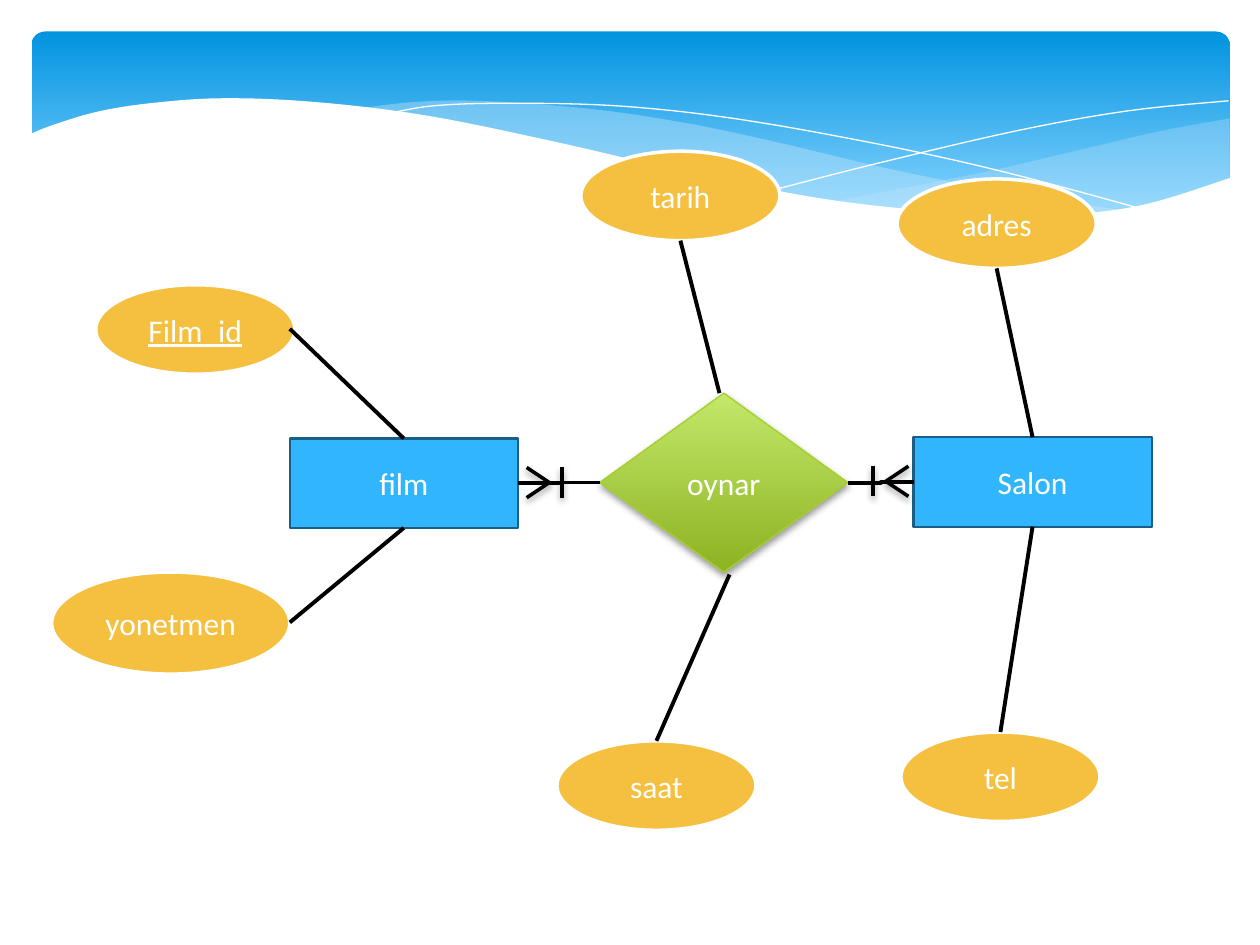
"""Build a cinema entity-relationship diagram slide on a 100 by 75 grid."""
import lxml.etree
import pptx
import pptx.dml.color
import pptx.enum.dml
import pptx.enum.shapes
import pptx.enum.text
import pptx.oxml.ns
import pptx.util

SHAPE = pptx.enum.shapes.MSO_SHAPE
LINK = pptx.enum.shapes.MSO_CONNECTOR
WIDTH, HEIGHT = pptx.util.Inches(10), pptx.util.Inches(7.5)
COLUMNS, ROWS = 100, 75

THEME = {
    "sky": [(0, "0293E0"), (0.9, "83D3FE")],
    "leaf": [(0, "C3E86A"), (1, "8DB222")],
    "mist": "C6E7FC", "white": "FFFFFF", "black": "000000",
    "entity": "31B6FD", "entity_line": "195F84",
    "attribute": "F5C040", "relation_line": "A5D028",
    "font": {"name": "Calibri", "size": pptx.util.Pt(18)},
    "link_width": 2.25, "mark_width": 2,
}

BANNER = (2.5, 2.5, 95.1, 15.6)
MISTS = [
    (29, [[(97.6, 9.4), (92.1, 10.4), (86.1, 11.8), (77.9, 13.7), (66.1, 16)],
          [(66.1, 16), (73.2, 16.8), (80.3, 17.2), (87.2, 16.9), (92.8, 15.8), (97.6, 14.1)]]),
    (40, [[(89.3, 16.7), (80.7, 15.4), (70.6, 13.4), (61.3, 11.2), (54.1, 9.7),
           (46.5, 8.6), (38, 8), (32.8, 8.1), (28.6, 8.6)],
          [(28.6, 8.6), (34.2, 9.4), (44.9, 11.6), (56.6, 14.3), (66.5, 16.1),
           (76.1, 17.1), (83.8, 17.2), (89.3, 16.7)]]),
]
STRANDS = [
    [(30.9, 9), (34.4, 8.4), (40.1, 8.2), (48.9, 8.4), (58.2, 9.4), (69.5, 11.4),
     (79.5, 13.6), (90.7, 16.6)],
    [(61.3, 15.1), (69.5, 13), (80.6, 10.4), (89.5, 8.8), (97.5, 8)],
]
WAVE = [[(2.3, 10.7), (4, 10), (7.6, 8.9), (11.9, 8.2), (17.7, 7.8), (25, 8.1), (34, 9.2),
         (44.7, 11.4), (55.5, 13.9), (66.8, 16), (77.8, 17), (85, 17), (91, 16.2), (97.7, 14.1)],
        [(97.7, 22.4), (2.3, 22.4)]]

ENTITIES = {"film": (23, 34.8, 18.1, 7.1), "Salon": (72.5, 34.7, 18.9, 7.1)}
RELATION = ("oynar", (47.6, 31.2, 19.7, 14.2))
ATTRIBUTES = [
    ("Film_id", (7.6, 22.6, 15.8, 7.1), True),
    ("yonetmen", (4.1, 45.4, 18.9, 8.1), False),
    ("tarih", (46.1, 12, 15.8, 7.1), False),
    ("saat", (44.2, 58.8, 15.8, 7.1), False),
    ("tel", (71.5, 58.1, 15.8, 7.1), False),
    ("adres", (71.2, 14.2, 15.8, 7.1), False),
]
ENTITY_LINKS = [((23, 26.1), "film", 0), ((23, 49.4), "film", 2),
                ((79.1, 21.3), "Salon", 0), ((79.4, 58.1), "Salon", 2)]
RELATION_LINKS = [((54, 19.1), (57.1, 31.2)), ((57.9, 45.6), (52.1, 58.8))]
CROW_FEET = [((43.6, 38.3), 1), ((70.3, 38.2), -1)]
FOOT_STROKES = [((1, -1.2), (1, 1.2)), ((-1.8, -1.2), (0, 0)), ((-1.8, 1.2), (0, 0))]


def x(col):
    return round(WIDTH * col / COLUMNS)


def y(row):
    return round(HEIGHT * row / ROWS)


def rgb(value):
    return pptx.dml.color.RGBColor.from_string(value)


def child(parent, tag, **attrs):
    return lxml.etree.SubElement(parent, pptx.oxml.ns.qn(tag), attrs)


def set_opacity(color, percent):
    child(color, "a:alpha", val=str(percent * 1000))


def set_effect(s, shadow=False):
    effects = child(s.element.spPr, "a:effectLst")
    if shadow:
        outer = child(effects, "a:outerShdw", blurRad=str(pptx.util.Pt(4)),
                      dist=str(pptx.util.Pt(2)), dir="5400000", rotWithShape="0")
        set_opacity(child(outer, "a:srgbClr", val=THEME["black"]), 38)


def style(s, fill=None, line=None, width=0, shadow=False):
    if isinstance(fill, list):
        s.fill.gradient()
        s.fill.gradient_angle = 270
        for stop, (position, color) in zip(s.fill.gradient_stops, fill):
            stop.position, stop.color.rgb = position, rgb(color)
    elif fill:
        s.fill.solid()
        s.fill.fore_color.rgb = rgb(fill)
    else:
        s.fill.background()
    if line:
        s.line.color.rgb = rgb(line)
        s.line.width = pptx.util.Pt(width)
    else:
        s.line.fill.background()
    set_effect(s, shadow)


def smooth(points, steps=6):
    """Return a Catmull-Rom curve through the points."""
    padded = [points[0], *points, points[-1]]
    curve = []
    for a, b, c, d in zip(padded, padded[1:], padded[2:], padded[3:]):
        for t in (i / steps for i in range(steps)):
            curve.append(tuple(
                (2 * q + (r - p) * t + (2 * p - 5 * q + 4 * r - s) * t ** 2
                 + (3 * q - p - 3 * r + s) * t ** 3) / 2
                for p, q, r, s in zip(a, b, c, d)))
    return curve + [points[-1]]


def add_curves(shapes, curves, close=True, **look):
    points = [(x(col), y(row)) for curve in curves for col, row in smooth(curve)]
    builder = shapes.build_freeform(*points[0])
    builder.add_line_segments(points[1:], close=close)
    s = builder.convert_to_shape()
    style(s, **look)
    return s


def add_node(shapes, kind, box, text="", underline=False, **look):
    left, top, width, height = box
    s = shapes.add_shape(kind, x(left), y(top), x(width), y(height))
    style(s, **look)
    if text:
        tf = s.text_frame
        tf.vertical_anchor = pptx.enum.text.MSO_ANCHOR.MIDDLE
        p = tf.paragraphs[0]
        p.alignment = pptx.enum.text.PP_ALIGN.CENTER
        r = p.add_run()
        r.text = text
        for name, value in {**THEME["font"], "underline": underline or None}.items():
            setattr(r.font, name, value)
        r.font.color.rgb = rgb(THEME["white"])
    return s


def add_link(shapes, start, end, kind=LINK.STRAIGHT, width=THEME["link_width"], shadow=False):
    s = shapes.add_connector(kind, x(start[0]), y(start[1]), x(end[0]), y(end[1]))
    s.line.color.rgb = rgb(THEME["black"])
    s.line.width = pptx.util.Pt(width)
    set_effect(s, shadow)
    return s


def add_banner(shapes):
    s = add_node(shapes, SHAPE.ROUNDED_RECTANGLE, BANNER, fill=THEME["sky"])
    s.adjustments[0] = 0.07
    for opacity, curves in MISTS:
        s = add_curves(shapes, curves, fill=THEME["mist"])
        set_opacity(s.element.spPr.find(".//" + pptx.oxml.ns.qn("a:srgbClr")), opacity)
    for strand in STRANDS:
        add_curves(shapes, [strand], close=False, line=THEME["white"])
    add_curves(shapes, WAVE, fill=THEME["white"])


def add_diagram(shapes):
    entities = {name: add_node(shapes, SHAPE.RECTANGLE, box, name, fill=THEME["entity"],
                               line=THEME["entity_line"], width=1.25)
                for name, box in ENTITIES.items()}
    name, box = RELATION
    relation = add_node(shapes, SHAPE.DIAMOND, box, name, fill=THEME["leaf"],
                        line=THEME["relation_line"], width=0.75, shadow=True)
    for begin, begin_site, end, end_site in [(entities["film"], 3, relation, 1),
                                             (relation, 3, entities["Salon"], 1)]:
        s = add_link(shapes, (0, 0), (0, 0), LINK.ELBOW)
        s.begin_connect(begin, begin_site)
        s.end_connect(end, end_site)
    for name, box, key in ATTRIBUTES:
        add_node(shapes, SHAPE.OVAL, box, name, key, fill=THEME["attribute"],
                 line=THEME["white"], width=2)
    for start, name, site in ENTITY_LINKS:
        add_link(shapes, start, start).end_connect(entities[name], site)
    for start, end in RELATION_LINKS:
        add_link(shapes, start, end)
    for (col, row), side in CROW_FEET:
        foot = shapes.add_group_shape()
        for stroke in FOOT_STROKES:
            start, end = [(col + side * dx, row + dy) for dx, dy in stroke]
            add_link(foot.shapes, start, end, width=THEME["mark_width"], shadow=True)


def main():
    prs = pptx.Presentation()
    prs.slide_width, prs.slide_height = WIDTH, HEIGHT
    slide = prs.slides.add_slide(prs.slide_layouts[6])
    add_banner(slide.shapes)
    add_diagram(slide.shapes)
    prs.save("out.pptx")


if __name__ == "__main__":
    main()
